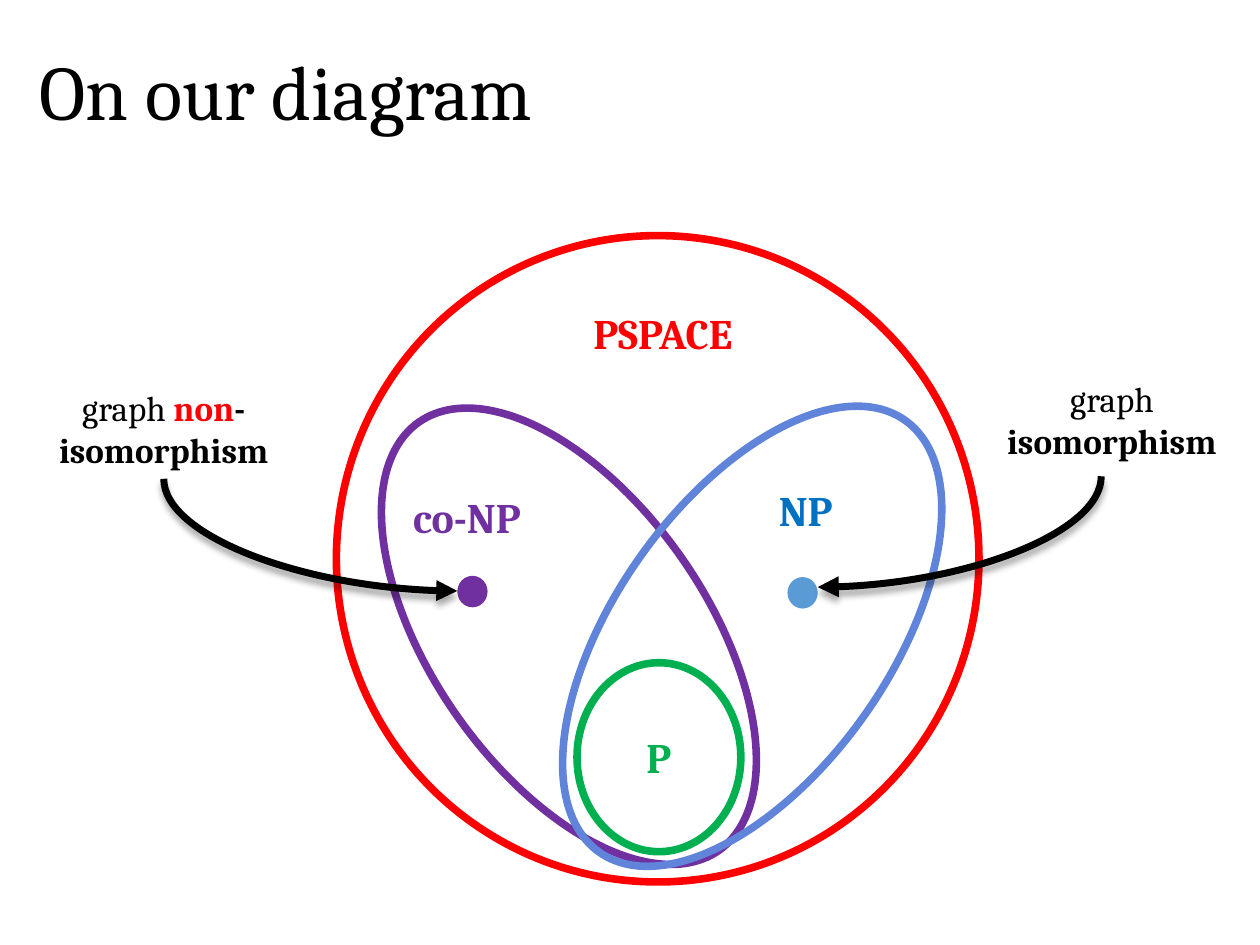
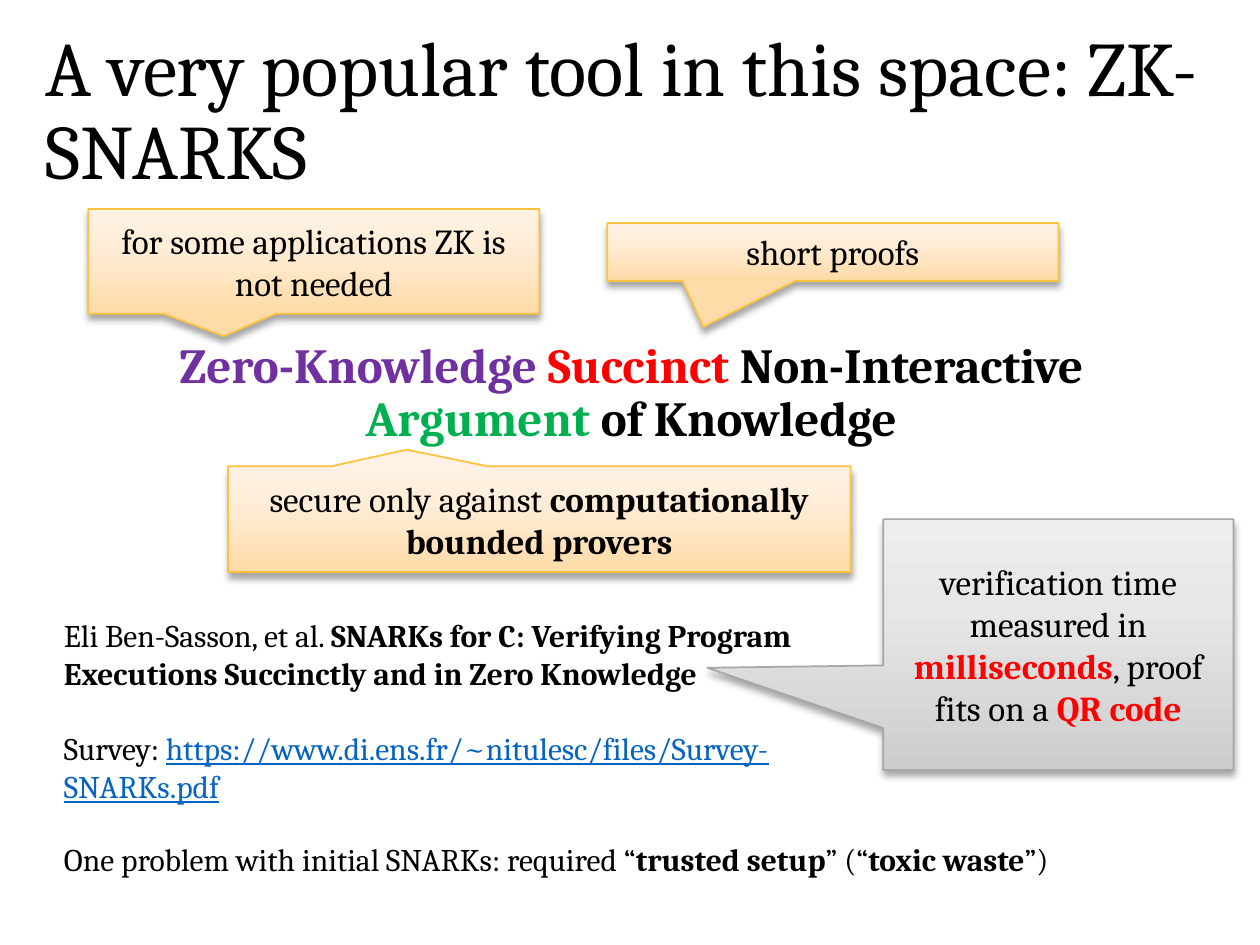
import copy

import pptx
import pptx.util
import pptx.dml.color
import pptx.enum.shapes
import pptx.enum.text
import pptx.oxml
import pptx.oxml.ns
from pptx.util import Inches

HUES = {
    "ink": "000000", "white": "FFFFFF", "red": "FF0000", "green": "00B050",
    "plum": "7030A0", "blue": "0070C0", "sky": "5B9BD5", "iris": "5F84D9",
    "link": "0563C1", "gold": "FFC23E", "gray": "A7A7A7",
}
FONT = "Cambria"
FADES = {
    "gold": ((0, "FFDBA7"), (0.65, "FFEDD8"), (1, "FFF2E4")),
    "gray": ((0, "CDCDCD"), (0.65, "E7E7E7"), (1, "EEEEEE")),
}
SHAPES = pptx.enum.shapes.MSO_SHAPE
ALIGN = pptx.enum.text.PP_ALIGN
MID = pptx.enum.text.MSO_ANCHOR.MIDDLE
SPACE = 'xmlns:a="http://schemas.openxmlformats.org/drawingml/2006/main"'

TITLES = (
    ("On our diagram", (0.21, 0.18, 8.62, 1.15)),
    ("A very popular tool in this space: ZK-SNARKS", (0.26, 0.17, 9.49, 1.45)),
)

RINGS = (
    ((2.67, 1.87, 5.1, 5.13), 0, "red", "white"),
    ((4.58, 5.26, 1.3, 1.5), 0, "green", None),
    ((2.44, 3.96, 4.15, 2.18), 55, "plum", None),
    ((3.87, 3.96, 4.2, 2.18), 305.3, "iris", None),
)
DOTS = (((6.25, 4.58), "sky"), ((3.63, 4.57), "plum"))
NAMES = (
    ("P", (4.58, 5.76, 1.3, 0.5), "green", ALIGN.CENTER),
    ("PSPACE", (4.47, 2.39, 1.58, 0.5), "red", ALIGN.CENTER),
    ("NP", (6, 3.8, 0.79, 0.5), "blue", ALIGN.CENTER),
    ("co-NP", (3.18, 3.85, 1.23, 0.5), "plum", ALIGN.LEFT),
)
TASKS = (
    ((0.27, 3.02, 2.06, 0.77),
     [("graph ",), ("non", "red", True), ("-isomorphism", "ink", True)]),
    ((7.84, 2.95, 1.97, 0.77), [("graph ",), ("isomorphism", "ink", True)]),
)
ARROWS = (((1.3, 3.8), (3.63, 4.69)), ((8.74, 3.78), (6.49, 4.66)))

PHRASE = [
    ("Zero-Knowledge ", "plum", True), ("Succinct", "red", True),
    (" Non-Interactive ", "ink", True), ("Argument", "green", True),
    (" of Knowledge", "ink", True),
]
NOTES = (
    ((4.82, 1.77, 3.58, 0.46), (-0.287, 1.294), "gold", [("short proofs",)]),
    ((1.81, 3.7, 4.94, 0.84), (-0.213, -0.656), "gold",
     [("secure only against ",),
      ("computationally bounded provers", "ink", True)]),
    ((0.7, 1.66, 3.58, 0.83), (-0.199, 0.716), "gold",
     [("for some applications ZK is not needed",)]),
    ((7.01, 4.12, 2.78, 1.99), (-1.002, 0.093), "gray",
     [("verification time measured in ",), ("milliseconds", "red", True),
      (", proof fits on a ",), ("QR code", "red", True)]),
)
SOURCES = [
    [("Eli Ben-Sasson, et al. ",),
     ("SNARKs for C: Verifying Program Executions Succinctly and in Zero "
      "Knowledge", "ink", True)],
    [("Survey: ",),
     ("https://www.di.ens.fr/~nitulesc/files/Survey-SNARKs.pdf",
      "link", False, True)],
]
CAVEAT = [
    ("One problem with initial SNARKs: required “",),
    ("trusted setup", "ink", True), ("” (“",),
    ("toxic waste", "ink", True), ("”)",),
]


def rgb(code):
    return pptx.dml.color.RGBColor.from_string(HUES.get(code, code))


def box(at):
    return [Inches(v) for v in at]


def write(frame, paras, size, align=ALIGN.LEFT, lead=None, gap=0):
    frame.word_wrap = True
    for i, runs in enumerate(paras):
        para = frame.paragraphs[0] if i == 0 else frame.add_paragraph()
        para.alignment = align
        para.line_spacing = lead
        para.space_before = pptx.util.Pt(gap if i else 0)
        for text, hue, bold, under in (
                (*r, *("ink", False, False)[len(r) - 1:]) for r in runs):
            run = para.add_run()
            run.text = text
            font = run.font
            font.name, font.size = FONT, pptx.util.Pt(size)
            font.bold, font.underline = bold, under
            font.color.rgb = rgb(hue)


def label(slide, at, paras, size, *style):
    frame = slide.shapes.add_textbox(*box(at)).text_frame
    write(frame, paras, size, *style)


def start(deck, text, at):
    slide = deck.slides.add_slide(deck.slide_layouts[5])
    title = slide.shapes.title
    title.left, title.top, title.width, title.height = box(at)
    title.text_frame.vertical_anchor = MID
    write(title.text_frame, [[(text,)]], 44, ALIGN.LEFT, 0.9)
    return slide


def oval(slide, at, fill=None, line=None, turn=0):
    shape = slide.shapes.add_shape(SHAPES.FLOWCHART_CONNECTOR, *box(at))
    shape.shadow.inherit = False
    shape.rotation = turn
    if fill:
        shape.fill.solid()
        shape.fill.fore_color.rgb = rgb(fill)
    else:
        shape.fill.background()
    if line:
        shape.line.color.rgb = rgb(line)
        shape.line.width = pptx.util.Pt(4.33)
    else:
        shape.line.fill.background()


def shade(shape):
    props = shape._element.spPr
    for old in props.findall(pptx.oxml.ns.qn("a:effectLst")):
        props.remove(old)
    props.append(pptx.oxml.parse_xml(
        f'<a:effectLst {SPACE}><a:outerShdw blurRad="50800" dist="38100" '
        'dir="5400000" rotWithShape="0"><a:srgbClr val="000000">'
        '<a:alpha val="35000"/></a:srgbClr></a:outerShdw></a:effectLst>'))


def curve(slide, tail, tip):
    (x1, y1), (x2, y2) = tail, tip
    midx, midy = (x1 + x2) / 2, (y1 + y2) / 2
    wide, high = y2 - y1, abs(x2 - x1)
    left, right = midx - wide / 2, midx + wide / 2
    east = x2 > x1
    if east:
        left, right = right, left
    arc = slide.shapes.add_connector(
        pptx.enum.shapes.MSO_CONNECTOR.CURVE,
        *box((left, midy - high / 2, right, midy + high / 2)))
    props = arc._element.spPr
    props.find(pptx.oxml.ns.qn("a:xfrm")).set(
        "rot", str((270 if east else 90) * 60000))
    props.find(pptx.oxml.ns.qn("a:prstGeom")).set("prst", "curvedConnector2")
    arc.line.color.rgb = rgb("ink")
    arc.line.width = pptx.util.Pt(4)
    arc.line._get_or_add_ln().append(
        pptx.oxml.parse_xml(f'<a:tailEnd {SPACE} type="triangle"/>'))
    shade(arc)


def callout(slide, at, point, tone, runs):
    shape = slide.shapes.add_shape(SHAPES.RECTANGULAR_CALLOUT, *box(at))
    shape.adjustments[0], shape.adjustments[1] = point
    fill = shape.fill
    fill.gradient()
    fill.gradient_angle = 90
    stops = next(shape._element.spPr.iter(pptx.oxml.ns.qn("a:gsLst")))
    stops.append(copy.deepcopy(stops[0]))
    for stop, (place, code) in zip(fill.gradient_stops, FADES[tone]):
        stop.position = place
        stop.color.rgb = rgb(code)
    shape.line.color.rgb = rgb(tone)
    shape.line.width = pptx.util.Pt(1)
    shade(shape)
    shape.text_frame.vertical_anchor = MID
    write(shape.text_frame, [runs], 20, ALIGN.CENTER)


def classes(deck):
    slide = start(deck, *TITLES[0])
    for at, turn, line, fill in RINGS:
        oval(slide, at, fill, line, turn)
    for spot, hue in DOTS:
        oval(slide, (*spot, 0.24, 0.25), hue)
    for text, at, hue, align in NAMES:
        label(slide, at, [[(text, hue, True)]], 24, align)
    for at, runs in TASKS:
        label(slide, at, [runs], 20, ALIGN.CENTER)
    for tail, tip in ARROWS:
        curve(slide, tail, tip)


def snarks(deck):
    slide = start(deck, *TITLES[1])
    label(slide, (0.7, 2.66, 8.62, 0.96), [PHRASE], 28, ALIGN.CENTER, 0.9)
    label(slide, (0.41, 4.84, 6.66, 1.62), SOURCES, 18, ALIGN.LEFT, None, 21.5)
    for note in NOTES:
        callout(slide, *note)
    label(slide, (0.41, 6.62, 9.14, 0.4), [CAVEAT], 18)


def main():
    deck = pptx.Presentation()
    deck.slide_width, deck.slide_height = Inches(10), Inches(7.5)
    classes(deck)
    snarks(deck)
    deck.save("out.pptx")


if __name__ == "__main__":
    main()
